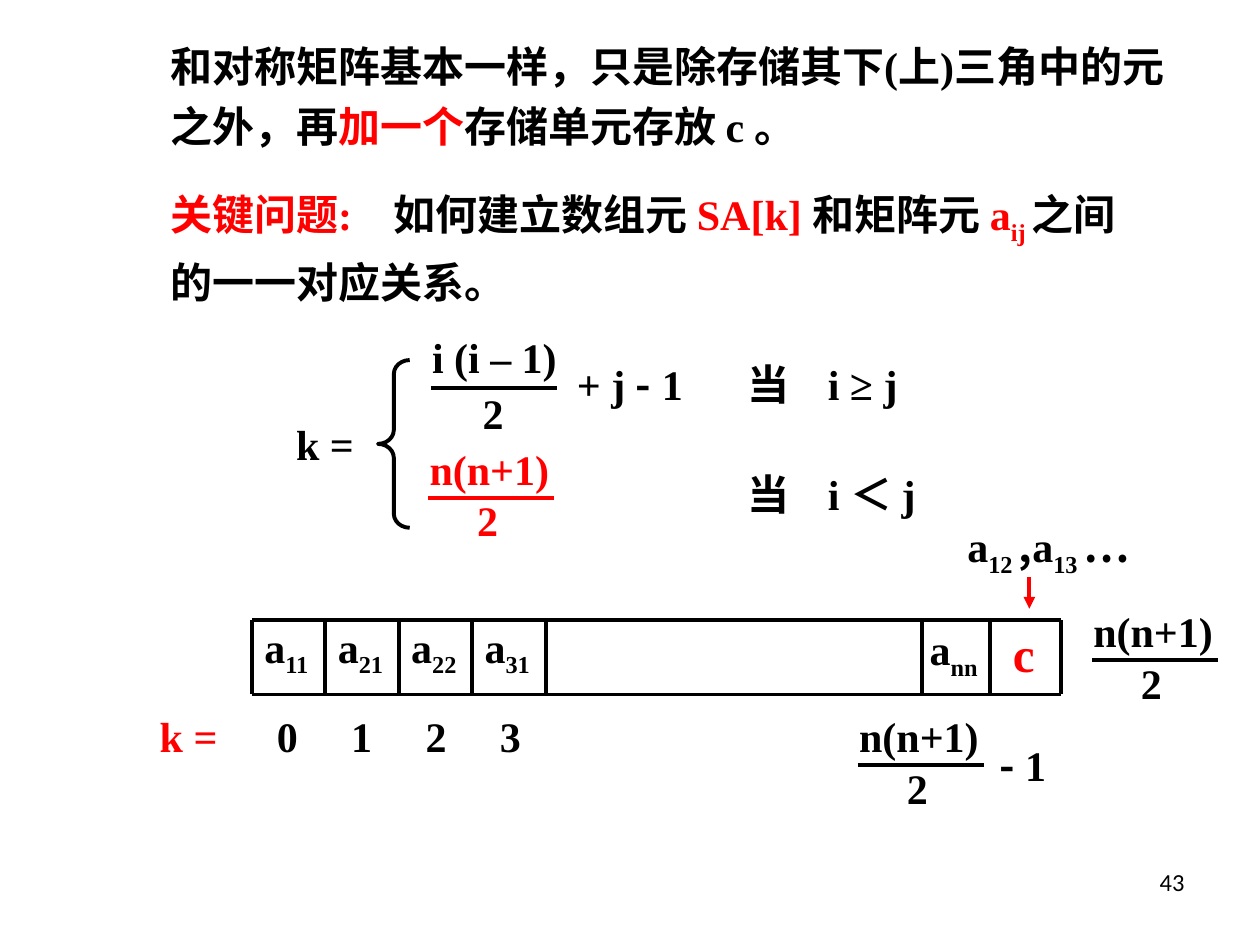
from collections import namedtuple
from dataclasses import dataclass

from lxml import etree
from pptx import Presentation
from pptx import util as u
from pptx.dml import color
from pptx.enum import shapes, text
from pptx.oxml import ns


@dataclass(frozen=True)
class Theme:
    ink: str = "000000"
    accent: str = "FF0000"
    serif: str = "Times New Roman"
    sans: str = "Noto Sans CJK SC"
    footer: str = "Calibri"
    body: int = 24
    large: int = 28
    small: int = 14
    stroke: float = 2.25


THEME = Theme()
RED = {"tint": THEME.accent}
SUB = {"baseline": -25000}
SANS = {"name": THEME.sans}

Box = namedtuple("Box", "left top width height", defaults=(4.45, 1.27))


def inside(box, left, top, width=4.45, height=1.27):
    return Box(box.left + left, box.top + top, width, height)


def add_span(para, wording, tint=THEME.ink, baseline=None, **changes):
    span = para.add_run()
    span.text = wording
    values = {"name": THEME.serif, "size": u.Pt(THEME.body), "bold": True, **changes}
    for key, value in values.items():
        setattr(span.font, key, value)
    span.font.color.rgb = color.RGBColor.from_string(tint)
    properties = span._r.get_or_add_rPr()
    if baseline:
        properties.set("baseline", str(baseline))
    east_asian = etree.SubElement(properties, ns.qn("a:ea"))
    east_asian.set("typeface", THEME.sans)
    properties.find(ns.qn("a:latin")).addnext(east_asian)


def add_text(page, box, *spans, tab=None, **layout):
    frame = page.shapes.add_textbox(*map(u.Cm, box)).text_frame
    frame.word_wrap = True
    para = frame.paragraphs[0]
    for key, value in layout.items():
        setattr(para, key, value)
    if tab:
        stops = etree.SubElement(para._p.get_or_add_pPr(), ns.qn("a:tabLst"))
        stop = etree.SubElement(stops, ns.qn("a:tab"))
        stop.set("pos", str(u.Cm(tab)))
        stop.set("algn", "l")
    for wording, changes in spans:
        add_span(para, wording, **changes)


def add_line(page, left, top, right, bottom, tint=THEME.ink, arrow=False):
    line = page.shapes.add_connector(
        shapes.MSO_CONNECTOR.STRAIGHT, *map(u.Cm, (left, top, right, bottom)))
    line.line.color.rgb = color.RGBColor.from_string(tint)
    line.line.width = u.Pt(THEME.stroke)
    if arrow:
        tail = etree.SubElement(line.line._get_or_add_ln(), ns.qn("a:tailEnd"))
        tail.set("type", "triangle")
    etree.SubElement(line._element.spPr, ns.qn("a:effectLst"))


def add_fraction(page, box, numerator="n(n+1)", tint=THEME.ink,
                 bar_drop=1.22, lower=(0.96, 1.04)):
    style = {"tint": tint}
    add_text(page, box, (numerator, style))
    left, top = box.left + 0.22, box.top + bar_drop
    add_line(page, left, top, left + 2.54, top, tint)
    add_text(page, inside(box, *lower, 1.7), ("2", style))


def add_explanation(page, box):
    add_text(page, inside(box, 0, 0, 20.75, 2.69),
             ("和对称矩阵基本一样，只是除存储其下(上)三角中的元之外，再", {}),
             ("加一个", RED), ("存储单元存放 c 。", {}), line_spacing=1.2)
    add_text(page, inside(box, 0, 2.97, box.width, 2.87),
             ("关键问题:\t", RED), ("如何建立数组元 ", {}), ("SA[k] ", RED),
             ("和矩阵元 ", {}), ("a", RED), ("ij ", {**RED, **SUB}),
             ("之间的一一对应关系。", {}), tab=4.5, line_spacing=1.2)


def add_formula(page, box):
    add_text(page, inside(box, 0, 1.76, 2.34), ("k =", {}))
    brace = page.shapes.add_shape(
        shapes.MSO_SHAPE.LEFT_BRACE, *map(u.Cm, inside(box, 1.9, 0.71, 0.64, 3.38)))
    brace.adjustments[0] = 0.44
    brace.shadow.inherit = False
    brace.fill.background()
    brace.line.color.rgb = color.RGBColor.from_string(THEME.ink)
    brace.line.width = u.Pt(THEME.stroke)

    add_fraction(page, inside(box, 2.74, 0), "i (i – 1)",
                 bar_drop=1.27, lower=(1.02, 1.14))
    add_text(page, inside(box, 5.66, 0.56), ("+ j ", {}), ("-", SANS), (" 1", {}))
    add_fraction(page, inside(box, 2.69, 2.26), tint=THEME.accent)
    for top, condition in ((0.56, "当\ti ≥ j"), (2.77, "当\ti ＜ j")):
        add_text(page, inside(box, 9.09, top, 6.15), (condition, {}), tab=1.63)


def add_array(page, box):
    pitch = 1.48
    right, bottom = box.left + box.width, box.top + box.height
    for edge in (box.top, bottom):
        add_line(page, box.left, edge, right, edge)
    for offset in [pitch * i for i in range(5)] + [13.51, 14.88, box.width]:
        add_line(page, box.left + offset, box.top, box.left + offset, bottom)

    cells = [(pitch * i, -0.1, index) for i, index in enumerate(("11", "21", "22", "31"))]
    for left, top, index in cells + [(13.41, -0.05, "nn")]:
        add_text(page, inside(box, left, top, 2.12, 1.42), ("a", {}), (index, SUB))
    add_text(page, inside(box, 15.09, -0.05, 3.81, 1.45),
             ("c", {**RED, "size": u.Pt(THEME.large)}))

    add_text(page, inside(box, 14.17, -2.13, 5.51, 1.42),
             ("a", {}), ("12 ", SUB), (",", SANS),
             ("a", {}), ("13 ", SUB), ("…", SANS))
    arrow = box.left + 15.67
    add_line(page, arrow, box.top - 0.86, arrow, box.top - 0.23, THEME.accent, arrow=True)


def add_positions(page, box):
    add_text(page, inside(box, 0, 0, 2.74), ("k =", RED))
    for number in range(4):
        add_text(page, inside(box, 2.36 + 1.5 * number, 0, 1.7), (str(number), {}))
    add_fraction(page, inside(box, 14.1, 0))
    add_text(page, inside(box, 16.92, 0.58, 1.7), ("-", SANS), (" 1", {}))
    add_fraction(page, inside(box, 18.82, -2.11))


def add_page_number(page, box):
    add_text(page, box,
             ("43", {"name": THEME.footer, "size": u.Pt(THEME.small), "bold": False}),
             alignment=text.PP_ALIGN.RIGHT)


def main():
    deck = Presentation()
    deck.slide_width, deck.slide_height = u.Cm(25.4), u.Cm(19.05)
    page = deck.slides.add_slide(deck.slide_layouts.get_by_name("Blank"))
    add_explanation(page, Box(3.18, 0.48, 20.32, 5.84))
    add_formula(page, Box(5.72, 6.55, 15.24, 4.57))
    add_array(page, Box(5.08, 12.5, 16.3, 1.5))
    add_positions(page, Box(2.97, 14.2, 22, 2.31))
    add_page_number(page, Box(18.21, 17.35, 5.92, 1.32))
    deck.save("out.pptx")


if __name__ == "__main__":
    main()
